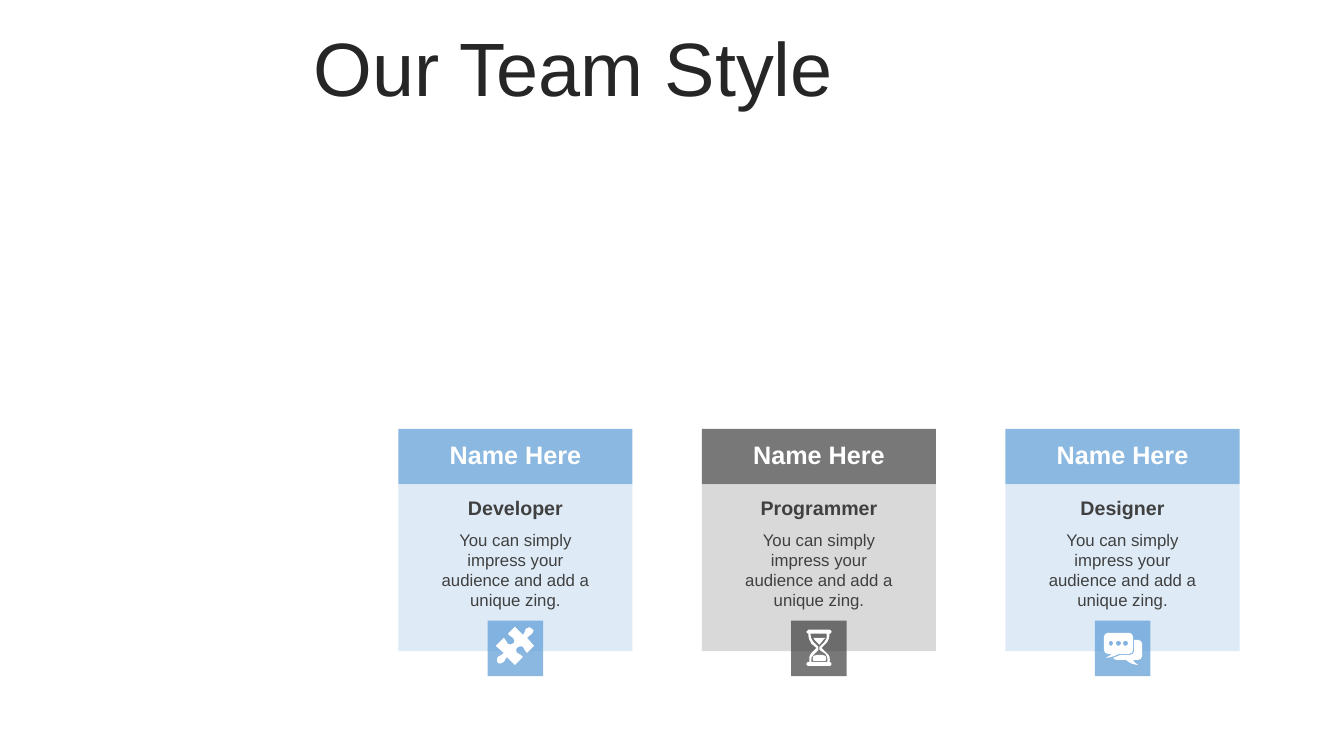
import lxml.etree
import pptx
import pptx.dml.color
import pptx.enum.shapes
import pptx.enum.text
import pptx.oxml.ns
import pptx.util

Cm = pptx.util.Cm
Pt = pptx.util.Pt
MIDDLE = pptx.enum.text.MSO_ANCHOR.MIDDLE
TOP = pptx.enum.text.MSO_ANCHOR.TOP
CENTER = pptx.enum.text.PP_ALIGN.CENTER
LEFT = pptx.enum.text.PP_ALIGN.LEFT

COLOURS = {
    "blue": "5B9BD5", "grey": "3F3F3F", "pale blue": "DEEBF7", "pale grey": "D9D9D9",
    "title": "262626", "body": "404040", "white": "FFFFFF",
}

PUZZLE = """
M 44 8 C 46 9 46 11 44 13 C 43 15 41 14 39 17 L 46 25 L 39 32
C 36 30 37 28 35 26 C 33 25 31 25 29 27 C 28 28 28 30 29 32
C 32 34 33 33 35 36 L 27 44 L 19 36 C 17 38 18 39 16 41
C 14 43 11 43 10 42 C 9 40 9 38 10 36 C 12 34 14 35 16 32
L 8 25 L 16 17 C 19 19 18 21 20 23 C 22 24 24 24 26 22
C 27 21 27 19 25 17 C 23 15 22 16 20 13 L 27 6 L 35 14
C 38 11 36 10 38 8 C 40 6 43 6 44 8
"""
HOURGLASS = """
M 28 34 C 30 34 32 34 34 35 C 35 37 35 39 34 40 L 22 40
C 21 39 21 37 22 35 C 24 34 26 34 28 34
M 22 17 L 34 17 C 33 18 33 18 32 19 L 28 24 L 23 19 C 22 18 22 18 22 17
M 19 13 C 19 16 20 19 22 21 L 27 26 L 27 29 L 22 34 C 20 36 19 38 20 41
L 36 41 C 36 38 36 35 34 33 L 28 29 L 28 26 L 33 21 C 35 19 36 16 35 13
M 17 9 L 38 9 C 39 9 40 10 40 11 C 40 12 39 13 38 13 C 38 16 37 20 35 22
L 30 27 L 35 32 C 38 34 39 38 38 41 C 39 41 40 42 40 43 C 40 44 39 45 38 45
L 17 45 C 16 45 15 44 15 43 C 15 42 16 41 17 41 L 18 41 C 17 38 18 35 20 32
L 25 27 L 20 23 C 18 20 17 17 17 13 C 16 13 15 12 15 11 C 15 10 16 9 17 9
"""
CHAT = """
M 30 20 C 29 20 28 21 28 22 C 28 24 29 25 30 25 C 32 25 33 24 33 22 C 33 21 32 20 30 20
M 23 20 C 22 20 21 21 21 22 C 21 24 22 25 23 25 C 25 25 26 24 26 22 C 26 21 25 20 23 20
M 16 20 C 15 20 14 21 14 22 C 14 24 15 25 16 25 C 17 25 18 24 18 22 C 18 21 17 20 16 20
M 39 19 L 43 19 C 45 19 47 21 47 23 L 47 35 C 47 37 45 39 43 39 L 38 39
C 39 41 39 41 43 44 C 36 43 35 42 31 39 L 22 39 C 20 39 19 38 18 37
C 21 36 23 35 25 34 L 35 34 C 37 34 39 32 39 30 L 39 19
M 13 12 L 34 12 C 36 12 38 14 38 16 L 38 29 C 38 31 36 33 34 33 L 24 33
C 20 35 18 36 11 37 C 15 34 15 35 17 33 L 13 33 C 11 33 9 31 9 29
L 9 16 C 9 14 11 12 13 12
"""


class TeamSlide:
    font_name = "Arial"
    icon_unit = Cm(2.54) / 100

    def __init__(self, deck):
        self.page = deck.slides.add_slide(deck.slide_layouts[6])

    def colour(self, name):
        return pptx.dml.color.RGBColor.from_string(COLOURS[name])

    def paint(self, shape, fill):
        shape.shadow.inherit = False
        shape.fill.solid()
        shape.fill.fore_color.rgb = self.colour(fill)
        shape.line.fill.background()

    def panel(self, left, top, width, height, fill, opacity=100):
        shape = self.page.shapes.add_shape(
            pptx.enum.shapes.MSO_SHAPE.RECTANGLE, Cm(left), Cm(top), Cm(width), Cm(height))
        self.paint(shape, fill)
        if opacity < 100:
            for element in shape.element.spPr.iter(pptx.oxml.ns.qn("a:srgbClr")):
                lxml.etree.SubElement(
                    element, pptx.oxml.ns.qn("a:alpha"), val=str(opacity * 1000))

    def text(self, words, left, top, width, height, size, colour,
             bold=False, align=CENTER, anchor=MIDDLE, spacing=1.0):
        box = self.page.shapes.add_textbox(Cm(left), Cm(top), Cm(width), Cm(height))
        para = box.text_frame.paragraphs[0]
        span = para.add_run()
        formats = (
            (box.text_frame, {"word_wrap": True, "vertical_anchor": anchor}),
            (para, {"alignment": align, "line_spacing": spacing}),
            (span, {"text": words}),
            (span.font, {"name": self.font_name, "size": Pt(size), "bold": bold}),
        )
        for target, values in formats:
            for name, value in values.items():
                setattr(target, name, value)
        span.font.color.rgb = self.colour(colour)

    def icon(self, drawing, left, top, fill):
        builder = None
        for outline in drawing.split("M")[1:]:
            numbers = [int(token) * self.icon_unit
                       for token in outline.split() if token not in "CL"]
            points = list(zip(numbers[::2], numbers[1::2]))
            if builder is None:
                builder = self.page.shapes.build_freeform(*points[0], scale=1.0)
            else:
                builder.move_to(*points[0])
            builder.add_line_segments(points[1:], close=True)
        shape = builder.convert_to_shape(Cm(left), Cm(top))
        self.bend(shape, [token for token in drawing.split() if token in "CL"])
        self.paint(shape, fill)

    def bend(self, shape, commands):
        segments = iter(list(shape.element.spPr.iter(pptx.oxml.ns.qn("a:lnTo"))))
        for command in commands:
            segment = next(segments)
            if command == "C":
                segment.tag = pptx.oxml.ns.qn("a:cubicBezTo")
                for extra in (next(segments), next(segments)):
                    segment.append(extra[0])
                    extra.getparent().remove(extra)

    def member(self, left, role, accent, tint, drawing):
        width, badge, text_width = 5.9, 1.4, 4.6
        text_left = left + (width - text_width) / 2
        badge_left = left + (width - badge) / 2
        self.panel(left, 10.81, width, 1.4, accent, 70)
        self.panel(left, 12.21, width, 4.2, tint)
        self.panel(badge_left, 15.64, badge, badge, accent, 70)
        self.text("Name Here", text_left, 11.1, text_width, 0.69, 18, "white", bold=True)
        self.text(role, text_left, 12.35, text_width, 0.89, 14, "body", bold=True)
        self.text("You can simply impress your audience and add a unique zing.",
                  text_left, 13.22, text_width, 2.31, 12, "body", anchor=TOP)
        self.icon(drawing, badge_left, 15.64, "white")


def main():
    deck = pptx.Presentation()
    deck.slide_width, deck.slide_height = Cm(33.87), Cm(19.05)
    slide = TeamSlide(deck)
    slide.text("Our Team Style", 7.65, 0.81, 25.4, 2, 54, "title", align=LEFT, spacing=0.9)
    members = (
        ("Developer", "blue", "pale blue", PUZZLE),
        ("Programmer", "grey", "pale grey", HOURGLASS),
        ("Designer", "blue", "pale blue", CHAT),
    )
    for column, member in enumerate(members):
        slide.member(10.04 + column * 7.65, *member)
    deck.save("out.pptx")


if __name__ == "__main__":
    main()
